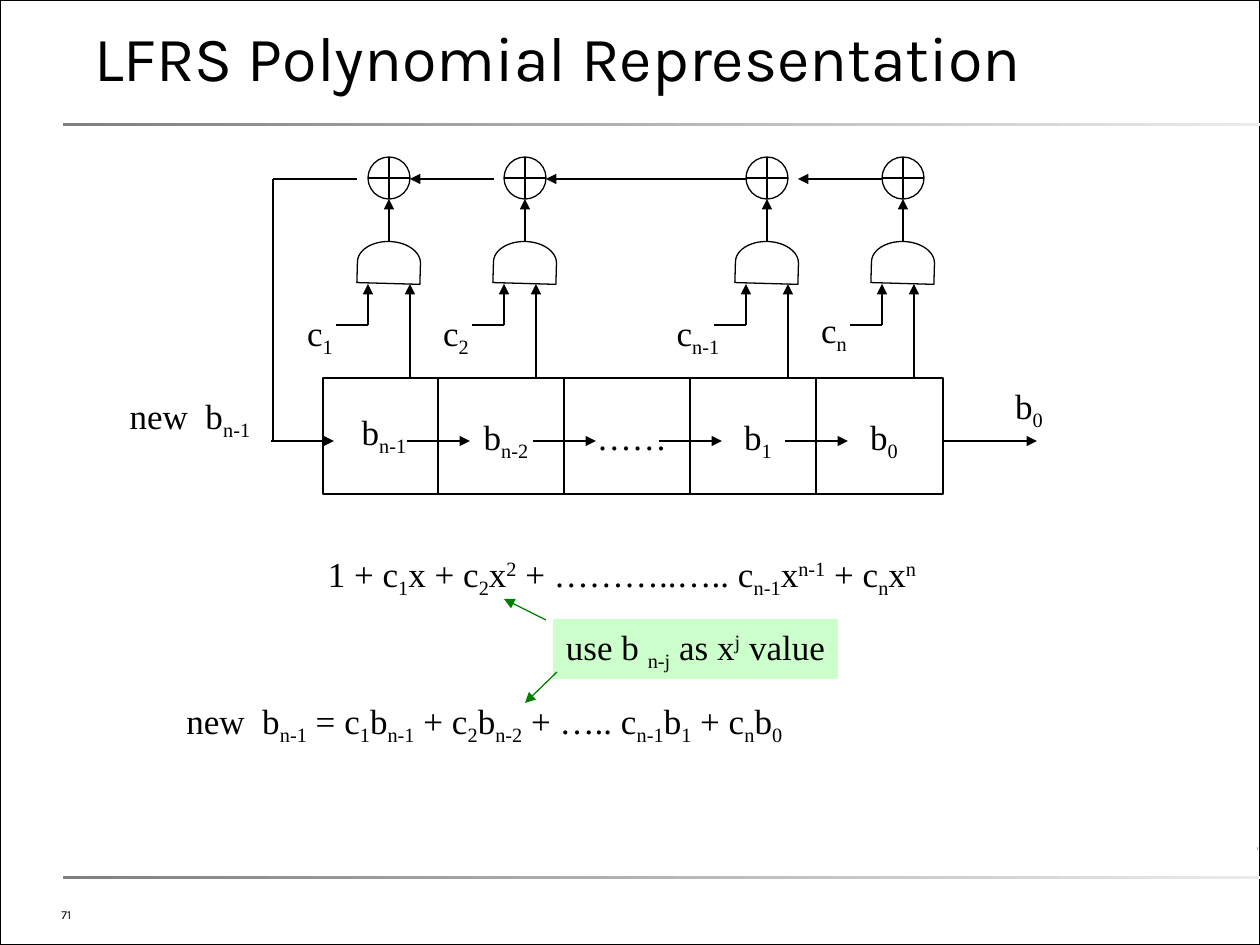
"""Build the slide on the polynomial representation of a shift register."""
from lxml import etree
from pptx import Presentation
from pptx import util as u
from pptx.dml.color import RGBColor
from pptx.enum import shapes, text
from pptx.oxml import ns

PX = 914400 / 126
COLORS = {"ink": "000000", "green": "008000", "mint": "CCFFCC",
          "grey": "808080", "pale": "EBEBEB", "silver": "D7D7D7"}
SERIF, SANS = "Times New Roman", "Karla"
BASELINES = {"_": "-25000", "^": "30000"}
SHAPE = shapes.MSO_SHAPE


def emu(*lengths):
    """Turn pixel lengths into EMU."""
    return [u.Emu(round(v * PX)) for v in lengths]


def rgb(name):
    """Look up a colour by name."""
    return RGBColor.from_string(COLORS[name])


def write(tf, value, size=20, font=SERIF, align=text.PP_ALIGN.CENTER,
          anchor=text.MSO_ANCHOR.TOP, spacing=None):
    """Write text whose parts, split at bars, start with _ or ^ when shifted."""
    tf.vertical_anchor = anchor
    p = tf.paragraphs[0]
    p.alignment = align
    if spacing:
        p.line_spacing = u.Pt(spacing)
    for part in value.split("|"):
        base = BASELINES.get(part[0])
        r = p.add_run()
        r.text = part[1:] if base else part
        r.font.size = u.Pt(size)
        r.font.name = font
        r.font.color.rgb = rgb("ink")
        if base:
            r.font._element.set("baseline", base)


def label(s, value, x, y, w, h=60, wrap=False, fill=None, grow=True, **fmt):
    """Add a text box, filled if a colour is given."""
    sp = s.shapes.add_textbox(*emu(x, y, w, h))
    if fill:
        sp.fill.solid()
        sp.fill.fore_color.rgb = rgb(fill)
    tf = sp.text_frame
    tf.word_wrap = wrap
    tf.auto_size = (text.MSO_AUTO_SIZE.SHAPE_TO_FIT_TEXT if grow
                    else text.MSO_AUTO_SIZE.NONE)
    write(tf, value, **fmt)


def outline(s, kind, x, y, w, h, rotation=0, width=0.74):
    """Add an unfilled preset shape."""
    sp = s.shapes.add_shape(kind, *emu(x, y, w, h))
    sp.shadow.inherit = False
    sp.rotation = rotation
    sp.fill.background()
    sp.line.color.rgb = rgb("ink")
    sp.line.width = u.Pt(width)


def rule(s, x, y, w, h, end):
    """Add a thin bar that fades from grey to the end colour."""
    sp = s.shapes.add_shape(SHAPE.RECTANGLE, *emu(x, y, w, h))
    sp.shadow.inherit = False
    sp.line.fill.background()
    sp.fill.gradient()
    sp.fill.gradient_angle = 0
    for stop, name, place in zip(sp.fill.gradient_stops, ("grey", end), (0, 1)):
        stop.color.rgb = rgb(name)
        stop.position = place


def wire(s, x1, y1, x2, y2, arrow=True, color="ink"):
    """Add a straight line, with an arrowhead at its end by default."""
    c = s.shapes.add_connector(shapes.MSO_CONNECTOR.STRAIGHT,
                               *emu(x1, y1, x2, y2))
    c.line.color.rgb = rgb(color)
    c.line.width = u.Pt(0.74)
    if arrow:
        etree.SubElement(c.line._get_or_add_ln(), ns.qn("a:tailEnd"),
                         type="triangle")
    etree.SubElement(c._element.spPr, ns.qn("a:effectLst"))


def frame(s):
    """Add the border, rules, title and page number."""
    outline(s, SHAPE.RECTANGLE, 0, 0, 1260, 945, width=0.99)
    rule(s, 1257, 847, 1, 3, "silver")
    for y in (123, 876):
        rule(s, 63, y, 1201, 3, "pale")
    title = s.shapes.title
    title.left, title.top, title.width, title.height = emu(94, 20, 1071, 74)
    tf = title.text_frame
    tf.margin_left = tf.margin_right = tf.margin_top = tf.margin_bottom = 0
    tf.word_wrap = True
    tf.auto_size = text.MSO_AUTO_SIZE.NONE
    write(tf, "LFRS Polynomial Representation", size=36, font=SANS,
          align=text.PP_ALIGN.LEFT, anchor=text.MSO_ANCHOR.BOTTOM, spacing=26)
    label(s, "71", 49, 899, 440, 29, wrap=True, grow=False, size=7, font=SANS,
          align=text.PP_ALIGN.LEFT, anchor=text.MSO_ANCHOR.BOTTOM)


def register(s):
    """Add the register cells, their labels and the shift arrows."""
    outline(s, SHAPE.RECTANGLE, 323, 378, 620, 116)
    for i in range(4):
        wire(s, 438 + 126 * i, 378, 438 + 126 * i, 494, arrow=False)
        wire(s, 407 + 126 * i, 441, 470 + 126 * i, 441)
    wire(s, 271, 441, 334, 441)
    wire(s, 943, 441, 1037, 441)
    for value, x, y, w in (("b|_n-1", 346, 404, 76), ("b|_n-2", 468, 409, 76),
                           ("……", 582, 409, 100), ("b|_1", 728, 409, 60),
                           ("b|_0", 854, 409, 60), ("b|_0", 999, 378, 60),
                           ("new  b|_n-1", 115, 388, 150)):
        label(s, value, x, y, w)


def tap(s, x, tap_x, value, label_x, label_y, label_w):
    """Add one gate with its adder, coefficient and register tap."""
    mid = x + 21
    wire(s, tap_x, 378, tap_x, 284)
    outline(s, SHAPE.FLOWCHART_DELAY, x, 231, 42, 63, rotation=271.6)
    outline(s, SHAPE.FLOWCHART_OR, x, 157, 42, 42)
    wire(s, mid, 242, mid, 199)
    wire(s, x, 325, x, 284)
    wire(s, x, 325, x - 32, 325, arrow=False)
    label(s, value, label_x, label_y, label_w)


def feedback(s):
    """Add the wires that link the adders back to the register."""
    for start, end in ((882, 798), (494, 410), (746, 546)):
        wire(s, start, 179, end, 179)
    wire(s, 357, 179, 273, 179, arrow=False)
    wire(s, 273, 179, 273, 441, arrow=False)


def formulas(s):
    """Add the two formulas and the note between them."""
    label(s, "1 + c|_1|x + c|_2|x|^2| + ………..….. c|_n-1|x|^n-1| + c|_n|x|^n",
          312, 546, 620)
    label(s, "new  b|_n-1| = c|_1|b|_n-1| + c|_2|b|_n-2| + ….. c|_n-1|b|_1"
          "| + c|_n|b|_0", 174, 693, 655, wrap=True, align=text.PP_ALIGN.LEFT)
    label(s, "use b |_n-j| as x|^j| value", 553, 619, 285, fill="mint")
    wire(s, 557, 672, 525, 703, color="green")
    wire(s, 546, 620, 504, 599, color="green")


def main():
    """Build and save the slide."""
    prs = Presentation()
    prs.slide_width, prs.slide_height = emu(1260, 945)
    s = prs.slides.add_slide(prs.slide_layouts[5])
    frame(s)
    register(s)
    for args in ((368, 410, "c|_1", 290, 305, 60),
                 (504, 536, "c|_2", 426, 305, 60),
                 (746, 788, "c|_n-1", 660, 305, 76),
                 (882, 914, "c|_n", 804, 302, 60)):
        tap(s, *args)
    feedback(s)
    formulas(s)
    prs.save("out.pptx")


main()
